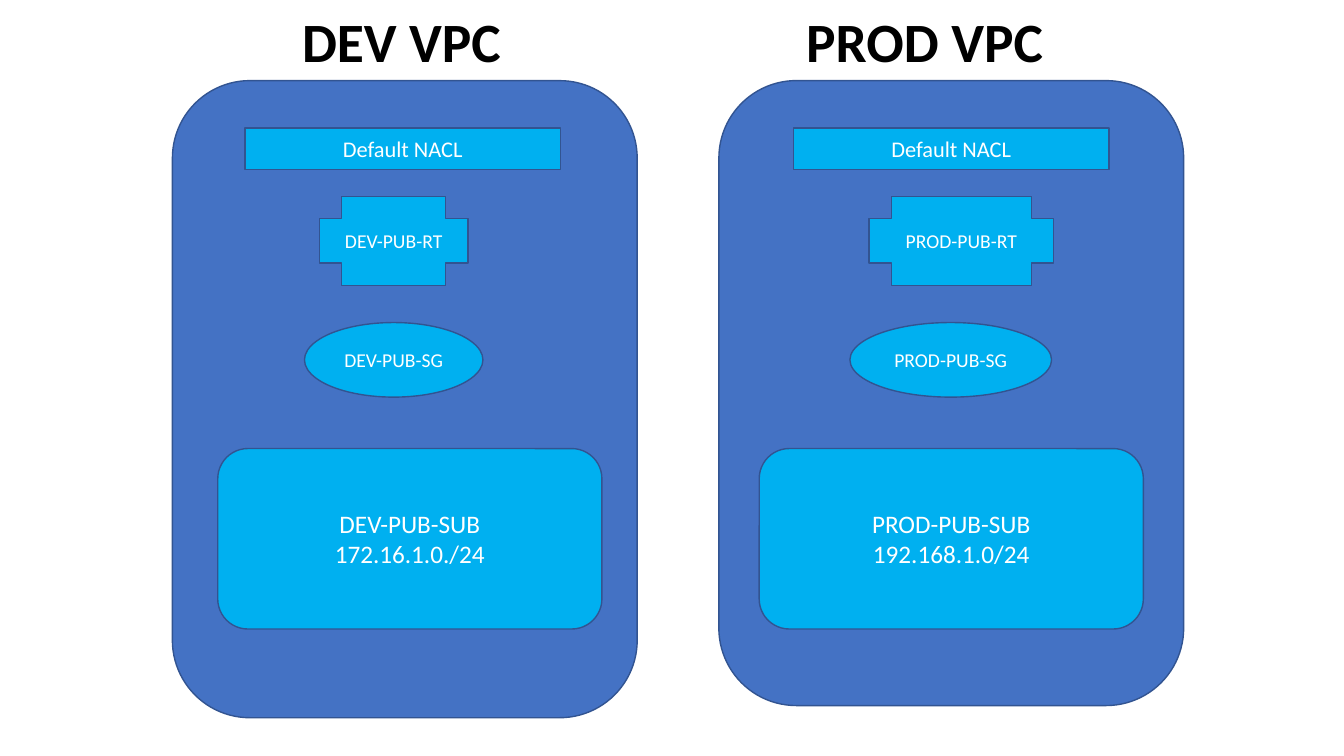
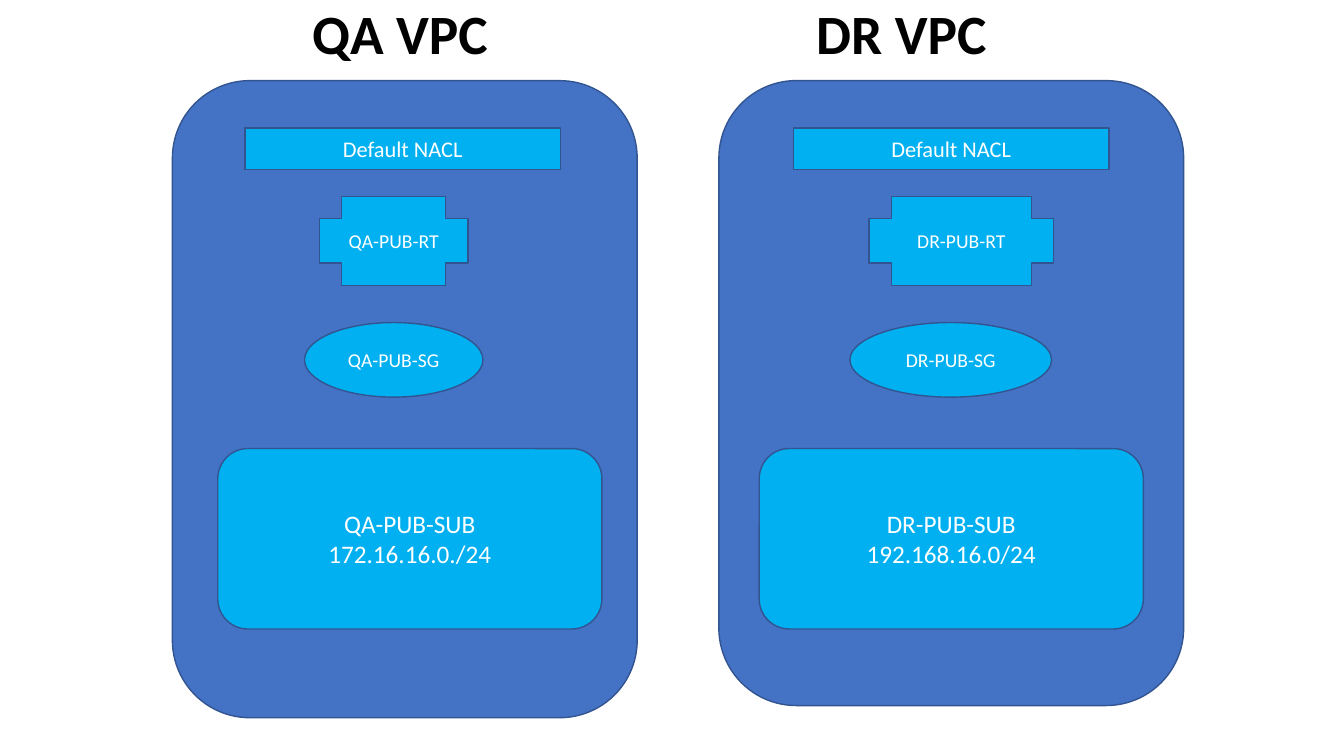
from lxml import etree
from pptx import Presentation
from pptx.dml.color import RGBColor
from pptx.enum.shapes import MSO_SHAPE
from pptx.enum.text import MSO_ANCHOR, MSO_AUTO_SIZE, PP_ALIGN
from pptx.oxml.ns import qn
from pptx.util import Inches, Pt

ROUNDED = MSO_SHAPE.ROUNDED_RECTANGLE
RECTANGLE = MSO_SHAPE.RECTANGLE
CROSS = MSO_SHAPE.CROSS
OVAL = MSO_SHAPE.OVAL
MIDDLE = MSO_ANCHOR.MIDDLE
CENTER = PP_ALIGN.CENTER
FIXED = MSO_AUTO_SIZE.NONE

FONT = "Calibri"
COLORS = {
    "panel": "4472C4",
    "part": "00B0F0",
    "outline": "325491",
    "label": "FFFFFF",
    "title": "000000",
}
TITLE_TABS = (2, 3, 4, 5)

PANELS = (
    {
        "box": (1.71, 0.8, 4.61, 6.32),
        "nacl": (0.72, 3.13),
        "route": (1.46, 1.47),
        "group": (1.31, 1.77),
        "subnet": (0.45, 3.81),
    },
    {
        "box": (7.13, 0.8, 4.61, 6.2),
        "nacl": (0.74, 3.13),
        "route": (1.49, 1.83),
        "group": (1.3, 2),
        "subnet": (0.4, 3.81),
    },
)
PARTS = {
    "nacl": (RECTANGLE, 0.47, 0.41, 16),
    "route": (CROSS, 1.15, 0.88, 14),
    "group": (OVAL, 2.4, 0.74, 14),
    "subnet": (ROUNDED, 3.65, 1.79, 18),
}
PAGES = (
    ((0.92, 0.13, 11.5, 0.62), (("DEV", "172.16.1.0./24"), ("PROD", "192.168.1.0/24"))),
    ((0.47, 0.06, 11.94, 0.61), (("QA", "172.16.16.0./24"), ("DR", "192.168.16.0/24"))),
)


def color(name):
    return RGBColor.from_string(COLORS[name])


def add_span(para, text, size, color_name, bold=False):
    para.alignment = CENTER
    span = para.add_run()
    span.text = text
    span.font.name = FONT
    span.font.size = Pt(size)
    span.font.bold = bold
    span.font.color.rgb = color(color_name)


def add_block(page, kind, box, fill, lines=(), size=18):
    block = page.shapes.add_shape(kind, *map(Inches, box))
    block.shadow.inherit = False
    block.fill.solid()
    block.fill.fore_color.rgb = color(fill)
    block.line.color.rgb = color("outline")
    block.line.width = Pt(1)
    frame = block.text_frame
    frame.word_wrap = False
    frame.vertical_anchor = MIDDLE
    for index, line in enumerate(lines):
        para = frame.add_paragraph() if index else frame.paragraphs[0]
        add_span(para, line, size, "label")


def add_title(page, box, names):
    title = page.shapes.title
    title.left, title.top, title.width, title.height = map(Inches, box)
    frame = title.text_frame
    frame.auto_size = FIXED
    frame.word_wrap = True
    frame.vertical_anchor = MIDDLE
    para = frame.paragraphs[0]
    para.line_spacing = 0.9
    gap = "\t" * len(TITLE_TABS)
    add_span(para, gap.join(f"{name} VPC" for name in names), 39.6, "title", True)
    stops = etree.SubElement(para._p.get_or_add_pPr(), qn("a:tabLst"))
    for position in TITLE_TABS:
        etree.SubElement(stops, qn("a:tab"), pos=str(Inches(position)), algn="l")


def add_network(page, panel, name, address):
    left, top, _, _ = panel["box"]
    labels = {
        "nacl": ("Default NACL",),
        "route": (f"{name}-PUB-RT",),
        "group": (f"{name}-PUB-SG",),
        "subnet": (f"{name}-PUB-SUB", address),
    }
    add_block(page, ROUNDED, panel["box"], "panel")
    for part, (kind, drop, height, size) in PARTS.items():
        indent, width = panel[part]
        box = (left + indent, top + drop, width, height)
        add_block(page, kind, box, "part", labels[part], size)


def add_page(deck, title_box, networks):
    page = deck.slides.add_slide(deck.slide_layouts.get_by_name("Title Only"))
    add_title(page, title_box, [name for name, _ in networks])
    for panel, (name, address) in zip(PANELS, networks):
        add_network(page, panel, name, address)


deck = Presentation()
deck.slide_width = Inches(13.33)
deck.slide_height = Inches(7.5)
for title_box, networks in PAGES:
    add_page(deck, title_box, networks)
deck.save("out.pptx")
